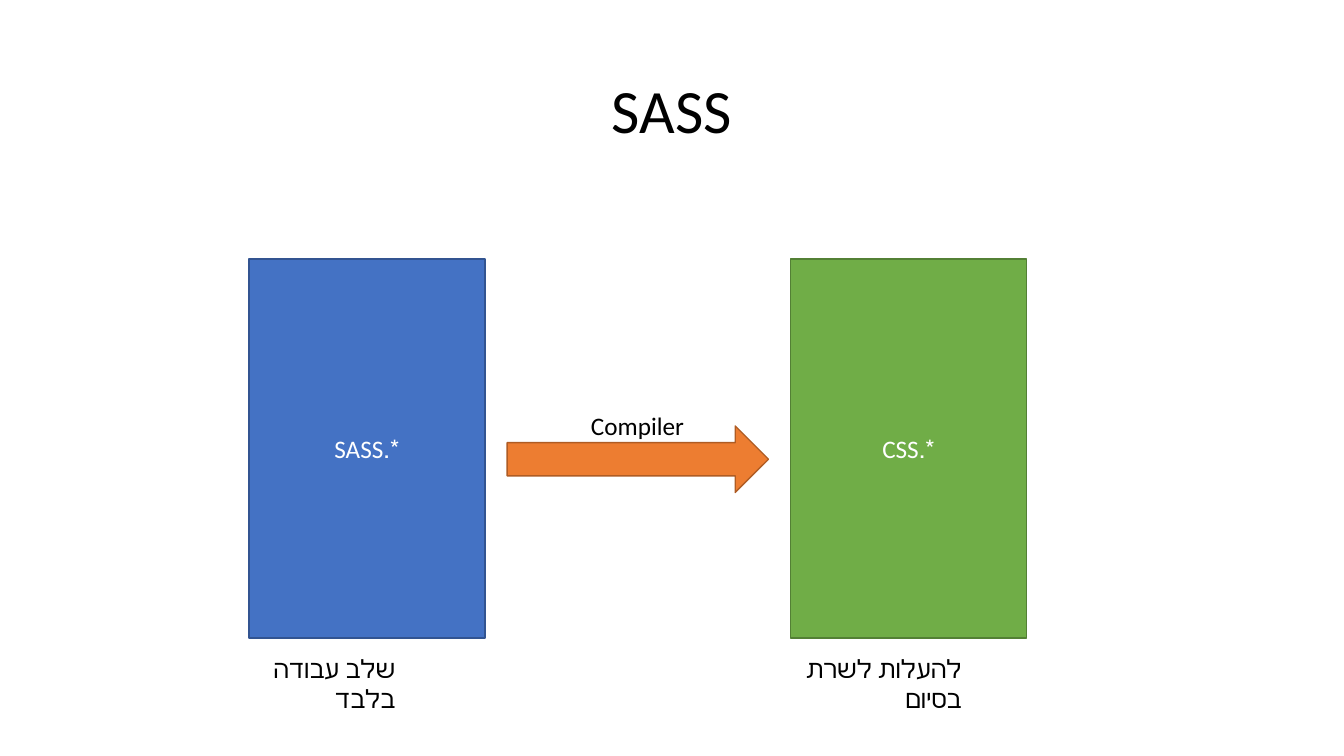
from dataclasses import dataclass

from pptx import Presentation
from pptx.dml.color import RGBColor
from pptx.enum.shapes import MSO_SHAPE
from pptx.enum.text import MSO_ANCHOR, MSO_AUTO_SIZE, PP_ALIGN
from pptx.util import Inches, Pt

RECTANGLE, ARROW = MSO_SHAPE.RECTANGLE, MSO_SHAPE.RIGHT_ARROW
MIDDLE = MSO_ANCHOR.MIDDLE
FIT_SHAPE, FIT_NONE = MSO_AUTO_SIZE.SHAPE_TO_FIT_TEXT, MSO_AUTO_SIZE.NONE
CENTER, RIGHT = PP_ALIGN.CENTER, PP_ALIGN.RIGHT

FONT = "Calibri"
COLORS = {
    "text": "000000", "file_text": "FFFFFF",
    "sass": "4472C4", "sass_line": "325491",
    "compiler": "ED7D31", "compiler_line": "AF5C24",
    "css": "70AD47", "css_line": "538035",
}
SLIDE_WIDTH, SLIDE_HEIGHT = Inches(13.33), Inches(7.5)

# Lengths are percentages of the slide's width and height.
FILE_LEFT, FILE_TOP, FILE_WIDTH, FILE_HEIGHT = 18.53, 34.25, 17.55, 50.13
ARROW_WIDTH, ARROW_GAP = 19.45, 1.65
ARROW_LEFT = FILE_LEFT + FILE_WIDTH + ARROW_GAP
CSS_LEFT = ARROW_LEFT + ARROW_WIDTH + ARROW_GAP
CAPTION_TOP, LABEL_HEIGHT = 85.73, 5.33
CAPTION_INDENT = Inches(0.59)


@dataclass(frozen=True)
class Box:
    """A rectangle in percentages of the slide."""
    left: float
    top: float
    width: float
    height: float

    def emu(self) -> tuple[int, int, int, int]:
        """Return left, top, width and height in slide units."""
        return (int(SLIDE_WIDTH * self.left / 100), int(SLIDE_HEIGHT * self.top / 100),
                int(SLIDE_WIDTH * self.width / 100), int(SLIDE_HEIGHT * self.height / 100))


@dataclass(frozen=True)
class Stage:
    """A filled shape of the compile flow."""
    preset: int
    box: Box
    color: str
    text: str = ""


@dataclass(frozen=True)
class Label:
    """A free-standing text; a caption wraps before its right indent."""
    box: Box
    text: str
    is_caption: bool = True


STAGES = (
    Stage(RECTANGLE, Box(FILE_LEFT, FILE_TOP, FILE_WIDTH, FILE_HEIGHT), "sass", "*.SASS"),
    Stage(ARROW, Box(ARROW_LEFT, 56.35, ARROW_WIDTH, 8.8), "compiler"),
    Stage(RECTANGLE, Box(CSS_LEFT, FILE_TOP, FILE_WIDTH, FILE_HEIGHT), "css", "*.CSS"),
)
LABELS = (
    Label(Box(19.58, CAPTION_TOP, 14.25, LABEL_HEIGHT), "שלב עבודה בלבד"),
    Label(Box(43.15, 53.6, 8.48, LABEL_HEIGHT), "Compiler", is_caption=False),
    Label(Box(59.25, CAPTION_TOP, 16.73, LABEL_HEIGHT), "להעלות לשרת בסיום"),
)


def rgb(name: str) -> RGBColor:
    """Look up a named colour."""
    return RGBColor.from_string(COLORS[name])


def write(frame, text: str, align: PP_ALIGN, color: str = "text", size: int = 18):
    """Write one right-to-left paragraph and return it."""
    frame.text = text
    paragraph = frame.paragraphs[0]
    paragraph.alignment = align
    paragraph.font.name = FONT
    paragraph.font.size = Pt(size)
    paragraph.font.color.rgb = rgb(color)
    paragraph._p.get_or_add_pPr().set("rtl", "1")
    return paragraph


def add_title(slide, text: str) -> None:
    """Place and format the slide title."""
    title = slide.shapes.title
    title.left, title.top, title.width, title.height = Box(6.87, 5.33, 86.25, 19.33).emu()
    title.text_frame.vertical_anchor = MIDDLE
    title.text_frame.auto_size = FIT_NONE
    write(title.text_frame, text, CENTER, size=44).line_spacing = 0.9


def add_stage(slide, stage: Stage) -> None:
    """Draw a file or the compiler arrow."""
    shape = slide.shapes.add_shape(stage.preset, *stage.box.emu())
    shape.shadow.inherit = False
    shape.fill.solid()
    shape.fill.fore_color.rgb = rgb(stage.color)
    shape.line.color.rgb = rgb(f"{stage.color}_line")
    shape.line.width = Pt(1)
    if stage.text:
        shape.text_frame.vertical_anchor = MIDDLE
        write(shape.text_frame, stage.text, CENTER, "file_text")


def add_label(slide, label: Label) -> None:
    """Add a caption or the arrow's label."""
    frame = slide.shapes.add_textbox(*label.box.emu()).text_frame
    frame.word_wrap = label.is_caption
    frame.auto_size = FIT_NONE if label.is_caption else FIT_SHAPE
    if label.is_caption:
        frame.margin_left, frame.margin_right = 0, CAPTION_INDENT
    write(frame, label.text, RIGHT)


def main() -> None:
    """Build and save the slide."""
    deck = Presentation()
    deck.slide_width, deck.slide_height = SLIDE_WIDTH, SLIDE_HEIGHT
    slide = deck.slides.add_slide(deck.slide_layouts[5])
    add_title(slide, "SASS")
    for stage in STAGES:
        add_stage(slide, stage)
    for label in LABELS:
        add_label(slide, label)
    deck.save("out.pptx")


main()
